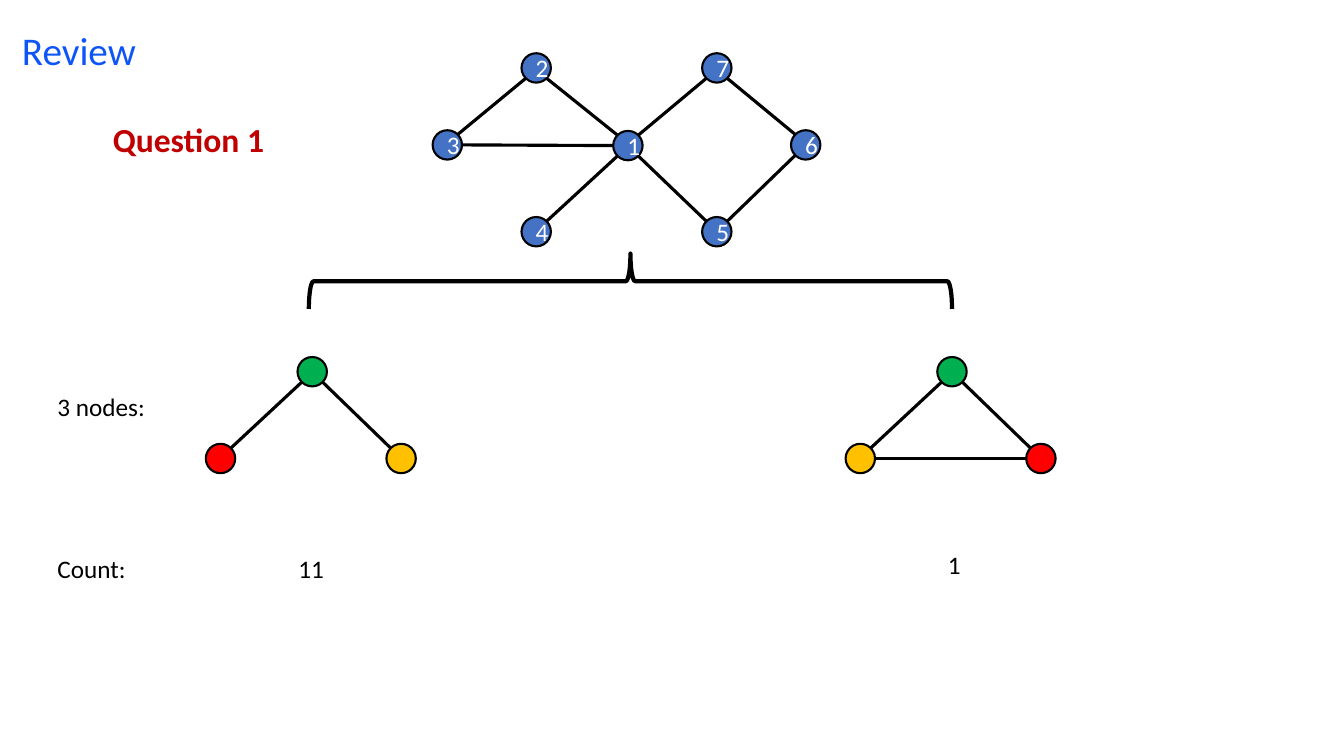
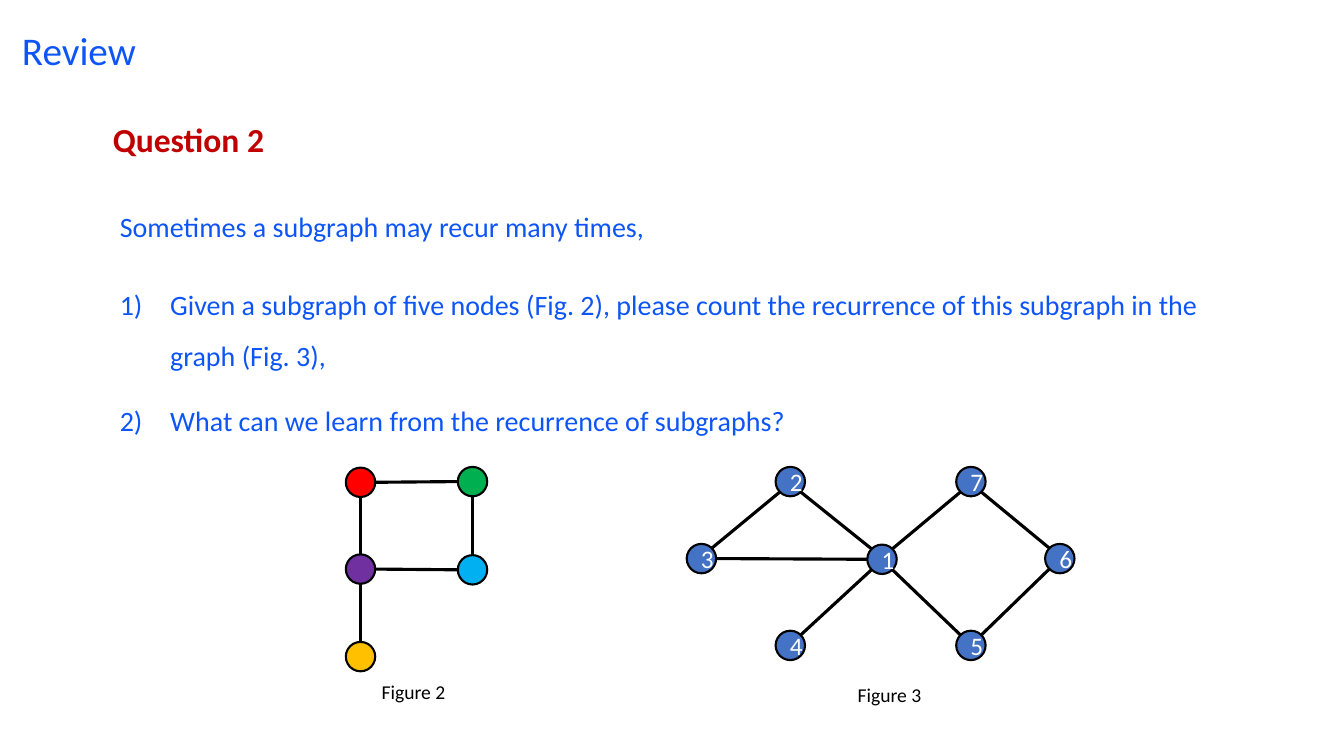
import math
from lxml import etree
from pptx import Presentation
from pptx.dml.color import RGBColor
from pptx.enum import shapes as es, text as et
from pptx.oxml.ns import qn
from pptx.util import Pt

BLUE = RGBColor(0x0D, 0x55, 0xF7)
CRIMSON = RGBColor(0xC0, 0x00, 0x00)
BLACK = RGBColor(0x00, 0x00, 0x00)
WHITE = RGBColor(0xFF, 0xFF, 0xFF)
STEEL = RGBColor(0x44, 0x72, 0xC4)
GREEN = RGBColor(0x00, 0xB0, 0x50)
AMBER = RGBColor(0xFF, 0xC0, 0x00)
RED = RGBColor(0xFF, 0x00, 0x00)
VIOLET = RGBColor(0x70, 0x30, 0xA0)
SKY = RGBColor(0x00, 0xB0, 0xF0)

FACE = "Calibri"
SIZE = 21
TITLE = {"size": Pt(28), "color": BLUE}
QUEST = {"size": Pt(24), "color": CRIMSON, "bold": True}
BODY = {"size": Pt(20), "color": BLUE}
LABEL = {"size": Pt(18), "color": BLACK}
NOTE = {"size": Pt(14), "color": BLACK}
DIGIT = {"size": Pt(18), "color": WHITE}

SEVEN = {
    "nodes": {
        "1": (0, 0, STEEL), "2": (-65.5, -55.5, STEEL), "3": (-129, -0.5, STEEL),
        "4": (-65.5, 61.5, STEEL), "5": (63.5, 61.5, STEEL),
        "6": (127, -0.5, STEEL), "7": (63.5, -55.5, STEEL),
    },
    "edges": ["21", "17", "31", "23", "41", "51", "76", "56"],
    "digits": True,
}
PATH = {
    "nodes": {"t": (0, 0, GREEN), "l": (-65.5, 62, RED), "r": (63.5, 62, AMBER)},
    "edges": ["lt", "rt"],
}
RING = {
    "nodes": {"t": (0, 0, GREEN), "l": (-65.5, 62, AMBER), "r": (63.5, 62, RED)},
    "edges": ["lt", "rt", "lr"],
}
KITE = {
    "nodes": {"a": (0, -62, RED), "b": (80, -62.5, GREEN), "c": (0, 0, VIOLET),
              "d": (80, 0.5, SKY), "e": (0, 62.5, AMBER)},
    "edges": ["ca", "ec", "dc", "ab", "db"],
}

PAGES = [
    {
        "quest": "Question 1",
        "graphs": [(SEVEN, 448.5, 104), (PATH, 223, 265.5), (RING, 680, 265.5)],
        "brace": (430.5, -28.8, 39.6, 459.4),
        "labels": [("3 nodes:", 34, 276, 80, LABEL), ("Count:", 34, 392, 80, LABEL),
                   ("1", 670, 389, 80, LABEL), ("11", 206, 392, 80, LABEL)],
    },
    {
        "quest": "Question 2",
        "body": [("Sometimes a subgraph may recur many times,", 0, False),
                 ("Given a subgraph of five nodes (Fig. 2), please count the "
                  "recurrence of this subgraph in the graph (Fig. 3),", 20, True),
                 ("What can we learn from the recurrence of subgraphs?", 11, True)],
        "graphs": [(KITE, 257.5, 406.5), (SEVEN, 630, 399.5)],
        "labels": [("Figure 2", 265.5, 482, 63, NOTE), ("Figure 3", 605.5, 484.5, 63, NOTE)],
    },
]


def style(para, form):
    para.font.name = FACE
    for key, val in form.items():
        if key == "color":
            para.font.color.rgb = val
        else:
            setattr(para.font, key, val)


def setup(frame, **form):
    for key, val in form.items():
        setattr(frame, key, val)


def put(shape, line, form, **opts):
    para = shape.text_frame.paragraphs[0]
    para.text = line
    setup(para, **opts)
    style(para, form)


def box(slide, x, y, w, h, size=et.MSO_AUTO_SIZE.SHAPE_TO_FIT_TEXT):
    item = slide.shapes.add_textbox(Pt(x), Pt(y), Pt(w), Pt(h))
    setup(item.text_frame, word_wrap=True, auto_size=size)
    return item


def paint(shape, fill, width):
    shape.shadow.inherit = False
    if fill is None:
        shape.fill.background()
    else:
        shape.fill.solid()
        shape.fill.fore_color.rgb = fill
    shape.line.color.rgb = BLACK
    shape.line.width = Pt(width)


def rim(start, end):
    turn = math.atan2(end[1] - start[1], end[0] - start[0])
    snap = round(turn / (math.pi / 4)) * math.pi / 4
    return (start[0] + SIZE / 2 * math.cos(snap), start[1] + SIZE / 2 * math.sin(snap))


def graph(slide, data, left, top):
    parts = slide.shapes.add_group_shape().shapes
    spots = {name: (left + x, top + y) for name, (x, y, _) in data["nodes"].items()}
    for name, (_, _, fill) in data["nodes"].items():
        x, y = spots[name]
        dot = parts.add_shape(es.MSO_SHAPE.OVAL, Pt(x - SIZE / 2), Pt(y - SIZE / 2),
                              Pt(SIZE), Pt(SIZE))
        paint(dot, fill, 1.5)
        if data.get("digits"):
            dot.text_frame.vertical_anchor = et.MSO_ANCHOR.MIDDLE
            put(dot, name, DIGIT, alignment=et.PP_ALIGN.CENTER)
    for a, b in data["edges"]:
        ends = rim(spots[a], spots[b]) + rim(spots[b], spots[a])
        edge = parts.add_connector(es.MSO_CONNECTOR.STRAIGHT, *map(Pt, ends))
        edge.line.color.rgb = BLACK
        edge.line.width = Pt(2.25)
        etree.SubElement(edge._element.spPr, qn("a:effectLst"))


def head(slide, quest):
    title = slide.shapes.title
    setup(title, left=Pt(8.5), top=Pt(8.5), width=Pt(828), height=Pt(59))
    sub = box(slide, 73.5, 71.5, 828, 59, et.MSO_AUTO_SIZE.NONE)
    for item, line, form in ((title, "Review", TITLE), (sub, quest, QUEST)):
        setup(item.text_frame, vertical_anchor=et.MSO_ANCHOR.MIDDLE,
              auto_size=et.MSO_AUTO_SIZE.NONE)
        put(item, line, form, alignment=et.PP_ALIGN.LEFT, line_spacing=0.9)


def prose(slide, rows):
    frame = box(slide, 78.5, 134, 803, 200).text_frame
    for i, (line, gap, count) in enumerate(rows):
        para = frame.add_paragraph() if i else frame.paragraphs[0]
        para.text = line
        setup(para, line_spacing=1.5, space_before=Pt(gap))
        style(para, BODY)
        if count:
            props = para._p.get_or_add_pPr()
            props.set("marL", str(Pt(36)))
            props.set("indent", str(-Pt(36)))
            mark = etree.Element(qn("a:buAutoNum"), type="arabicParenR")
            props.find(qn("a:spcBef")).addnext(mark)


def main():
    deck = Presentation()
    setup(deck, slide_width=Pt(960), slide_height=Pt(540))
    for page in PAGES:
        slide = deck.slides.add_slide(deck.slide_layouts[5])
        head(slide, page["quest"])
        if "body" in page:
            prose(slide, page["body"])
        for data, x, y in page["graphs"]:
            graph(slide, data, x, y)
        if "brace" in page:
            brace = slide.shapes.add_shape(es.MSO_SHAPE.LEFT_BRACE, *map(Pt, page["brace"]))
            brace.rotation = 90
            paint(brace, None, 3)
        for line, x, y, w, form in page["labels"]:
            put(box(slide, x, y, w, form["size"].pt * 1.6), line, form)
    deck.save("out.pptx")


if __name__ == "__main__":
    main()
